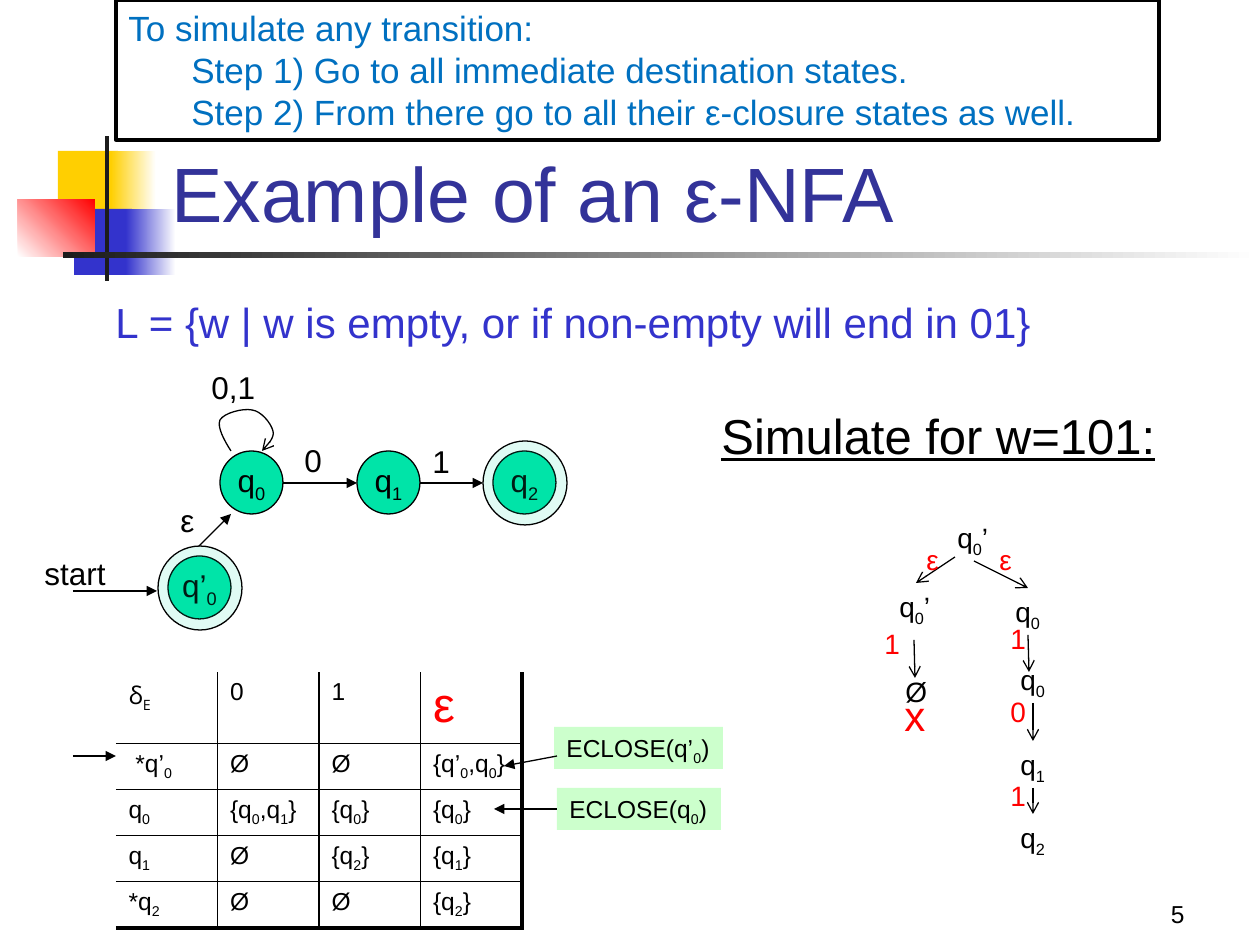
from lxml.etree import SubElement
from pptx import Presentation
from pptx.dml.color import RGBColor
from pptx.enum.shapes import MSO_CONNECTOR, MSO_SHAPE
from pptx.enum.text import MSO_ANCHOR, MSO_AUTO_SIZE, PP_ALIGN
from pptx.oxml.ns import qn
from pptx.util import Pt

PX = 914400 / 126
BLACK = RGBColor(0x00, 0x00, 0x00)
WHITE = RGBColor(0xFF, 0xFF, 0xFF)
RED = RGBColor(0xFF, 0x00, 0x00)
YELLOW = RGBColor(0xFF, 0xCF, 0x01)
BLUE = RGBColor(0x33, 0x33, 0xCC)
NAVY = RGBColor(0x33, 0x33, 0x99)
SKY = RGBColor(0x00, 0x70, 0xC0)
CHARCOAL = RGBColor(0x1C, 0x1C, 0x1C)
TEAL = RGBColor(0x00, 0xE4, 0xA8)
MINT = RGBColor(0xCC, 0xFF, 0xCC)

prs = Presentation()
prs.slide_width, prs.slide_height = round(1260 * PX), round(945 * PX)
slide = prs.slides.add_slide(prs.slide_layouts[6])
shapes = slide.shapes


def write(tf, text, size, color=BLACK, font="Arial"):
    first, *rest = text.split("_")
    pieces = [(first, False)]
    for part in rest:
        pieces += [(part[0], True), (part[1:], False)]
    p = tf.paragraphs[0]
    for piece, subscript in pieces:
        if piece:
            r = p.add_run()
            r.text = piece
            r.font.size, r.font.name = Pt(size), font
            r.font.color.rgb = color
            if subscript:
                r._r.get_or_add_rPr().set("baseline", "-25000")
    return p


def add_box(kind, x, y, w, h, fill, line_width=0):
    s = shapes.add_shape(kind, *(round(v * PX) for v in (x, y, w, h)))
    s.shadow.inherit = False
    if isinstance(fill, RGBColor):
        s.fill.solid()
        s.fill.fore_color.rgb = fill
    else:
        s.fill.gradient()
        for stop, color in zip(s.fill.gradient_stops, fill):
            stop.color.rgb = color
        s.fill.gradient_angle = 0
    if line_width:
        s.line.color.rgb = BLACK
        s.line.width = Pt(line_width)
    else:
        s.line.fill.background()
    return s


for *box, fill in [
    (58, 151, 60, 66, YELLOW),
    (111, 151, 45, 66, (YELLOW, WHITE)),
    (74, 209, 58, 66, BLUE),
    (126, 209, 50, 66, (BLUE, WHITE)),
    (18, 199, 77, 58, (WHITE, RED)),
    (105, 136, 4, 145, CHARCOAL),
    (63, 252, 1197, 6, (CHARCOAL, WHITE)),
]:
    s = add_box(MSO_SHAPE.RECTANGLE, *box, fill)
    if fill == (WHITE, RED):
        s.fill.gradient_angle = 45

for text, *box, size, color, anchor, align, wrap in [
    ("5", 935, 872, 262, 63, 14, BLACK, MSO_ANCHOR.BOTTOM, PP_ALIGN.RIGHT, True),
    ("Example of an ε-NFA", 159, 86, 1074, 158, 44, NAVY, MSO_ANCHOR.BOTTOM, PP_ALIGN.LEFT, True),
    ("L = {w | w is empty, or if non-empty will end in 01}", 103, 290, 961, 64, 24, BLUE,
     MSO_ANCHOR.TOP, PP_ALIGN.LEFT, False),
    ("Simulate for w=101:", 709, 399, 525, 105, 28, BLACK, MSO_ANCHOR.TOP, PP_ALIGN.LEFT, True),
]:
    tf = shapes.add_textbox(*(round(v * PX) for v in box)).text_frame
    tf.word_wrap, tf.vertical_anchor = wrap, anchor
    p = write(tf, text, size, color)
    p.alignment = align
p.space_before = Pt(3)
p.runs[0].font.underline = True

rows = [
    ["δ_E", "0", "1", "ε"],
    [" *q’_0", "Ø", "Ø", "{q’_0,q_0}"],
    ["q_0", "{q_0,q_1}", "{q_0}", "{q_0}"],
    ["q_1", "Ø", "{q_2}", "{q_1}"],
    ["*q_2", "Ø", "Ø", "{q_2}"],
]
frame = shapes.add_table(5, 4, *(round(v * PX) for v in (116, 672, 406, 255)))
table = frame.table
table.first_row = table.horz_banding = False
for column in table.columns:
    column.width = round(406 * PX / 4)
for i, row in enumerate(rows):
    table.rows[i].height = round((46 if i else 71) * PX)
    for j, text in enumerate(row):
        cell = table.cell(i, j)
        tcPr = cell._tc.get_or_add_tcPr()
        for side, width in [
            ("a:lnL", 1 if j else 0),
            ("a:lnR", 2.25 if j == 3 else 1),
            ("a:lnT", 1 if i else 0),
            ("a:lnB", 2.25 if i == 4 else 1),
        ]:
            ln = SubElement(tcPr, qn(side), w=str(int(Pt(width))))
            if width:
                SubElement(SubElement(ln, qn("a:solidFill")), qn("a:srgbClr"), val=str(BLACK))
            else:
                SubElement(ln, qn("a:noFill"))
        cell.fill.background()
        if text == "ε":
            write(cell.text_frame, text, 28, RED)
        else:
            write(cell.text_frame, text, 14, font="Open Sans" if text == "δ_E" else "Arial")

for text, x, y, w in [("ECLOSE(q’_0)", 554, 727, 169), ("ECLOSE(q_0)", 557, 788, 164)]:
    closure = add_box(MSO_SHAPE.RECTANGLE, x, y, w, 42, MINT)
    tf = closure.text_frame
    tf.word_wrap, tf.vertical_anchor = False, MSO_ANCHOR.TOP
    write(tf, text, 14).alignment = PP_ALIGN.LEFT

for text, x, y, accepting in [
    ("q_0", 220, 451, False),
    ("q_1", 357, 451, False),
    ("q_2", 493, 451, True),
    ("q’_0", 168, 556, True),
]:
    tf = add_box(MSO_SHAPE.OVAL, x, y, 63, 63, TEAL, 0.75).text_frame
    tf.word_wrap, tf.vertical_anchor = False, MSO_ANCHOR.MIDDLE
    write(tf, text, 18).alignment = PP_ALIGN.CENTER
    if accepting:
        ring = add_box(MSO_SHAPE.OVAL, x - 10, y - 10, 84, 84, TEAL, 0.75)
        color = ring._element.spPr.find(qn("a:solidFill"))[0]
        SubElement(color, qn("a:alpha"), val="12000")

for head, *ends in [
    ("triangle", 73, 756, 116, 756),
    ("triangle", 557, 756, 504, 766),
    ("triangle", 557, 809, 494, 809),
    ("triangle", 73, 591, 157, 591),
    ("triangle", 283, 483, 357, 483),
    ("triangle", 420, 483, 483, 483),
    ("triangle", 199, 546, 231, 514),
    ("arrow", 955, 557, 916, 583),
    ("arrow", 974, 561, 1028, 588),
    ("arrow", 1033, 703, 1033, 741),
    ("arrow", 1033, 788, 1033, 814),
    ("arrow", 1028, 635, 1029, 672),
    ("arrow", 914, 640, 915, 678),
]:
    c = shapes.add_connector(MSO_CONNECTOR.STRAIGHT, *(round(v * PX) for v in ends))
    c.line.color.rgb, c.line.width = BLACK, Pt(0.75)
    SubElement(c._element.spPr.get_or_add_ln(), qn("a:tailEnd"), type=head)
    SubElement(c._element.spPr, qn("a:effectLst"))
    if ends[:2] == [557, 809]:
        c.begin_connect(closure, 1)

loop = [(231, 451), (224, 440), (217, 427), (220, 420), (224, 413), (243, 408), (252, 410),
        (261, 411), (271, 423), (273, 431), (275, 437), (268, 445), (262, 451)]
points = []
for k in range(0, 12, 3):
    for step in range(1, 9):
        t = step / 8
        weights = ((1 - t) ** 3, 3 * t * (1 - t) ** 2, 3 * t * t * (1 - t), t ** 3)
        points.append([round(PX * sum(w * v for w, v in zip(weights, axis)))
                       for axis in zip(*loop[k:k + 4])])
builder = shapes.build_freeform(*(round(v * PX) for v in loop[0]))
builder.add_line_segments(points, close=False)
s = builder.convert_to_shape()
s.shadow.inherit = False
s.fill.background()
s.line.color.rgb, s.line.width = BLACK, Pt(0.75)
SubElement(s._element.spPr.get_or_add_ln(), qn("a:tailEnd"), type="arrow")

for size, h, color, labels in [
    (18, 50, BLACK, [("start", 32, 548, 87), ("0", 292, 435, 43), ("0,1", 199, 362, 69),
                     ("1", 420, 436, 43), ("ε", 168, 495, 39)]),
    (16, 47, BLACK, [("q_0’", 945, 514, 58), ("q_0’", 887, 583, 58), ("q_0", 1003, 588, 52),
                     ("q_0", 1008, 656, 52), ("q_1", 1008, 741, 52), ("q_2", 1008, 814, 52),
                     ("Ø", 893, 668, 48)]),
    (16, 47, RED, [("ε", 914, 536, 38), ("ε", 987, 536, 38), ("1", 872, 620, 42),
                   ("1", 998, 615, 42), ("0", 998, 688, 42), ("1", 998, 772, 42)]),
    (24, 64, RED, [("x", 892, 683, 47)]),
]:
    for text, x, y, w in labels:
        tf = shapes.add_textbox(*(round(v * PX) for v in (x, y, w, h))).text_frame
        tf.word_wrap, tf.auto_size = False, MSO_AUTO_SIZE.SHAPE_TO_FIT_TEXT
        write(tf, text, size, color)

tf = add_box(MSO_SHAPE.RECTANGLE, 116, 0, 1043, 140, WHITE, 2).text_frame
tf.word_wrap, tf.vertical_anchor = False, MSO_ANCHOR.TOP
tf.text = ("To simulate any transition:\v\tStep 1) Go to all immediate destination states.\n"
           "\tStep 2) From there go to all their ε-closure states as well.")
for p in tf.paragraphs:
    p.alignment = PP_ALIGN.LEFT
    for r in p.runs:
        r.font.size, r.font.name = Pt(20), "Arial"
        r.font.color.rgb = SKY

prs.save("out.pptx")
